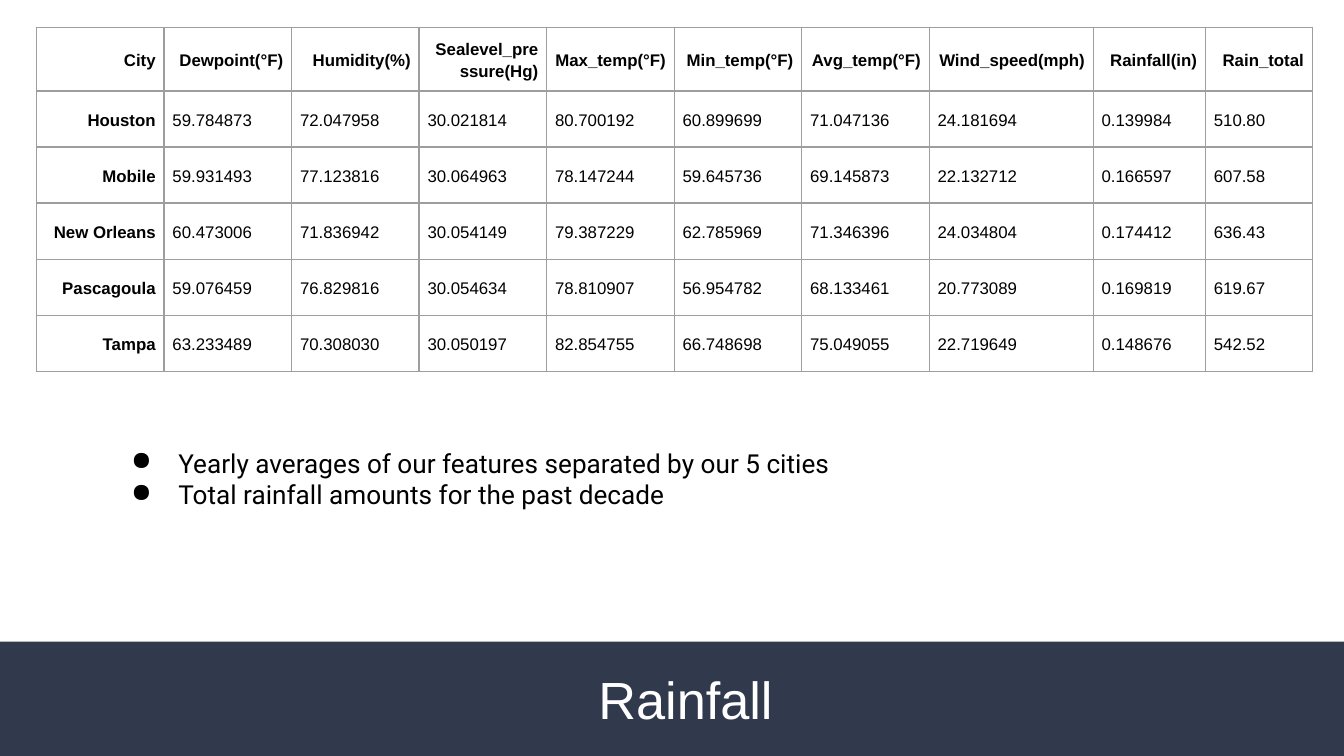
from lxml import etree
from pptx import Presentation
from pptx.dml.color import RGBColor
from pptx.enum.shapes import MSO_SHAPE
from pptx.enum.text import MSO_ANCHOR, PP_ALIGN
from pptx.oxml.ns import qn
from pptx.util import Cm, Pt

RECTANGLE = MSO_SHAPE.RECTANGLE
TOP, MIDDLE = MSO_ANCHOR.TOP, MSO_ANCHOR.MIDDLE
LEFT, CENTER, RIGHT = PP_ALIGN.LEFT, PP_ALIGN.CENTER, PP_ALIGN.RIGHT

SLIDE_W, SLIDE_H = 25.4, 14.29
BAR_TOP = 12.13
NAVY, WHITE, BLACK, GRID = "31394D", "FFFFFF", "000000", "9E9E9E"

COLUMN_WIDTHS = [2.41] * 7 + [3.1, 2.12, 2.02]
ROW_HEIGHT = 1.06
WEATHER = [
    ["City", "Dewpoint(°F)", "Humidity(%)", "Sealevel_pressure(Hg)", "Max_temp(°F)",
     "Min_temp(°F)", "Avg_temp(°F)", "Wind_speed(mph)", "Rainfall(in)", "Rain_total"],
    ["Houston", "59.784873", "72.047958", "30.021814", "80.700192",
     "60.899699", "71.047136", "24.181694", "0.139984", "510.80"],
    ["Mobile", "59.931493", "77.123816", "30.064963", "78.147244",
     "59.645736", "69.145873", "22.132712", "0.166597", "607.58"],
    ["New Orleans", "60.473006", "71.836942", "30.054149", "79.387229",
     "62.785969", "71.346396", "24.034804", "0.174412", "636.43"],
    ["Pascagoula", "59.076459", "76.829816", "30.054634", "78.810907",
     "56.954782", "68.133461", "20.773089", "0.169819", "619.67"],
    ["Tampa", "63.233489", "70.308030", "30.050197", "82.854755",
     "66.748698", "75.049055", "22.719649", "0.148676", "542.52"],
]
NOTES = [
    "Yearly averages of our features separated by our 5 cities",
    "Total rainfall amounts for the past decade",
]


def color(value):
    return RGBColor.from_string(value)


def add_run(p, text, size, font, ink, bold=False):
    r = p.add_run()
    r.text = text
    r.font.size = Pt(size)
    r.font.name = font
    r.font.bold = bold
    r.font.color.rgb = color(ink)


def add_bar(s, x, y, w, h, fill):
    sp = s.shapes.add_shape(RECTANGLE, Cm(x), Cm(y), Cm(w), Cm(h))
    sp.shadow.inherit = False
    sp.fill.solid()
    sp.fill.fore_color.rgb = color(fill)
    sp.line.fill.background()


def set_bullet(p):
    pPr = p._p.get_or_add_pPr()
    pPr.set("marL", str(Cm(1.27)))
    pPr.set("indent", str(-Cm(0.89)))
    clr = etree.SubElement(pPr, qn("a:buClr"))
    etree.SubElement(clr, qn("a:srgbClr"), val=BLACK)
    etree.SubElement(pPr, qn("a:buChar"), char="●")


def add_text(s, x, y, w, h, lines, size, font, ink,
             align=LEFT, anchor=TOP, bullets=False):
    tf = s.shapes.add_textbox(Cm(x), Cm(y), Cm(w), Cm(h)).text_frame
    tf.word_wrap = True
    tf.vertical_anchor = anchor
    tf.margin_left = tf.margin_right = tf.margin_top = tf.margin_bottom = Cm(0.25)
    for i, line in enumerate(lines):
        p = tf.add_paragraph() if i else tf.paragraphs[0]
        p.alignment = align
        if bullets:
            set_bullet(p)
        add_run(p, line, size, font, ink)


def set_borders(cell):
    tcPr = cell._tc.get_or_add_tcPr()
    for i, side in enumerate(("a:lnL", "a:lnR", "a:lnT", "a:lnB")):
        ln = etree.Element(qn(side), w=str(Pt(0.75)))
        fill = etree.SubElement(ln, qn("a:solidFill"))
        etree.SubElement(fill, qn("a:srgbClr"), val=GRID)
        tcPr.insert(i, ln)


def fill_cell(cell, text, heading):
    cell.fill.background()
    cell.vertical_anchor = MIDDLE
    cell.margin_left = cell.margin_right = Cm(0.16)
    cell.margin_top = cell.margin_bottom = Cm(0.16)
    set_borders(cell)
    p = cell.text_frame.paragraphs[0]
    p.alignment = RIGHT if heading else LEFT
    p.line_spacing = 1.15
    p.space_before = Pt(9)
    add_run(p, text, 9, "Arial", BLACK, heading)


def add_weather_table(s, x, y):
    table = s.shapes.add_table(
        len(WEATHER), len(COLUMN_WIDTHS), Cm(x), Cm(y),
        Cm(sum(COLUMN_WIDTHS)), Cm(ROW_HEIGHT * len(WEATHER))).table
    for column, width in zip(table.columns, COLUMN_WIDTHS):
        column.width = Cm(width)
    for i, values in enumerate(WEATHER):
        table.rows[i].height = Cm(ROW_HEIGHT)
        for j, value in enumerate(values):
            fill_cell(table.cell(i, j), value, heading=i == 0 or j == 0)


def main():
    prs = Presentation()
    prs.slide_width, prs.slide_height = Cm(SLIDE_W), Cm(SLIDE_H)
    s = prs.slides.add_slide(prs.slide_layouts[6])
    s.background.fill.solid()
    s.background.fill.fore_color.rgb = color(WHITE)

    # Title bar
    add_bar(s, 0, BAR_TOP, SLIDE_W, SLIDE_H - BAR_TOP, NAVY)
    add_text(s, 1.12, 12.34, 23.67, 1.73, ["Rainfall"], 28, "Arial", WHITE,
             align=CENTER, anchor=MIDDLE)

    # Averages per city
    add_weather_table(s, 0.69, 0.52)

    # Notes below the table
    add_text(s, 1.85, 8.2, 17.83, 2.67, NOTES, 14, "Roboto", BLACK, bullets=True)

    prs.save("out.pptx")


if __name__ == "__main__":
    main()
